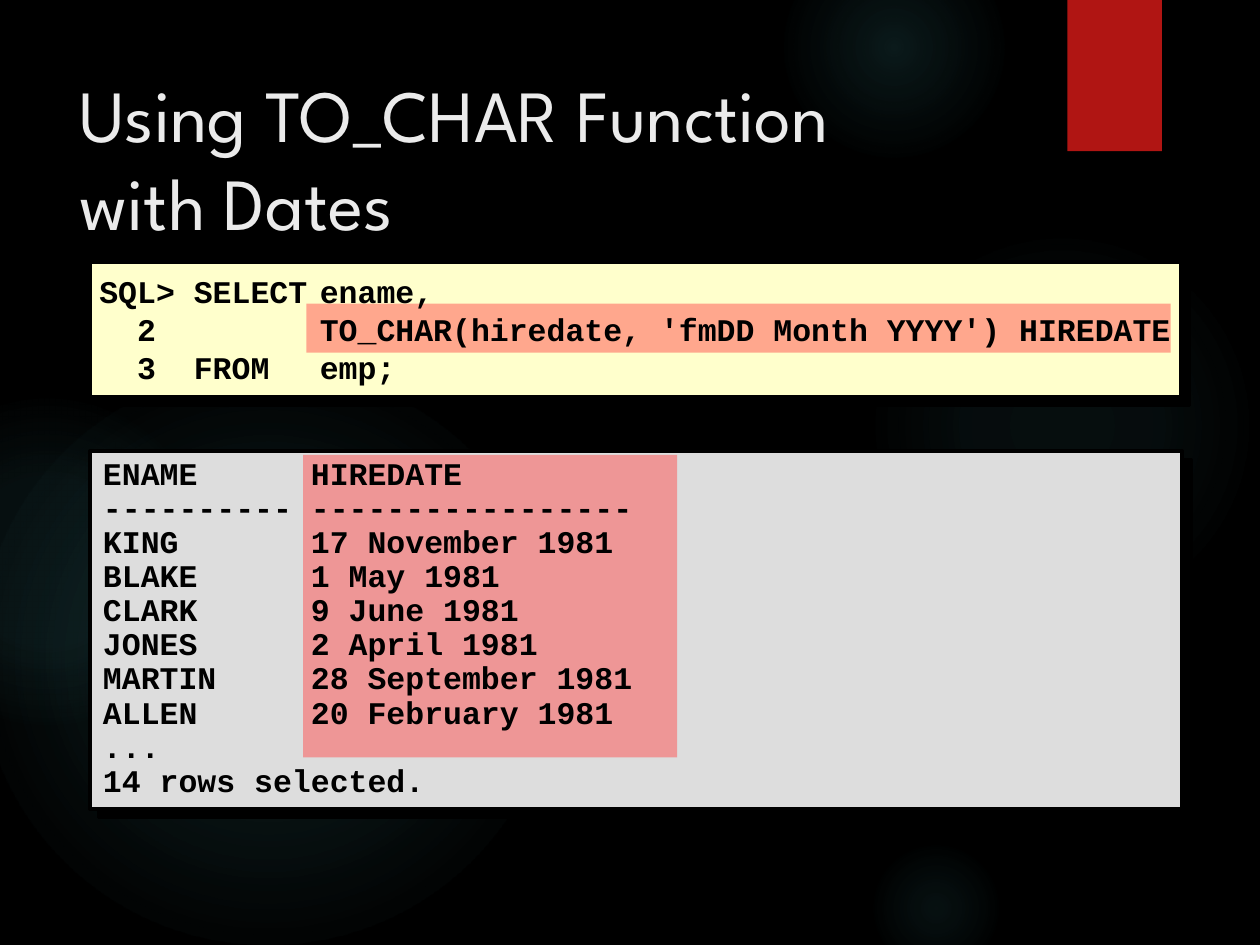
from dataclasses import dataclass

from lxml.etree import SubElement
from pptx import Presentation
from pptx.dml.color import RGBColor
from pptx.enum.shapes import MSO_SHAPE as Shape
from pptx.enum.text import MSO_ANCHOR as Anchor
from pptx.oxml.ns import qn
from pptx.util import Pt

# Content
TITLE = "Using TO_CHAR Function\vwith Dates"
QUERY = [
    "SQL>\tSELECT\tename,",
    "  2\t\tTO_CHAR(hiredate, 'fmDD Month YYYY') HIREDATE",
    "  3\tFROM\temp;",
]
RESULT = [
    ("ENAME", "HIREDATE"),
    ("-" * 10, "-" * 17),
    ("KING", "17 November 1981"),
    ("BLAKE", "1 May 1981"),
    ("CLARK", "9 June 1981"),
    ("JONES", "2 April 1981"),
    ("MARTIN", "28 September 1981"),
    ("ALLEN", "20 February 1981"),
    ("...",),
    ("14 rows selected.",),
]

# Glows: left, top, diameter, then (position %, opacity %) stops
GLOWS = [
    (496, 132, 222, [(0, 7), (36, 6), (69, 0)]),
    (448, -36, 126, [(0, 14), (36, 7), (73, 0)]),
    (496, 480, 78, [(0, 9), (36, 5), (66, 0)]),
    (-12, 210, 330, [(0, 11), (36, 10), (75, 0)]),
    (-66, 228, 186, [(0, 8), (36, 8), (72, 0)]),
]

# Boxes: left, top, width, height
RIBBON = (610, 0, 54, 86.4)
TITLE_BOX = (38.2, 36, 555.8, 110.2)
QUERY_PANEL = (51.4, 149.8, 623.5, 77)
RESULT_PANEL = (51.4, 257.8, 624.2, 204.5)
QUERY_MARK = (175, 173.5, 494, 28)
RESULT_MARK = (173.2, 260, 213.8, 172.8)
QUERY_TEXT = (49.7, 134.6, 632, 106.6)  # wide enough for the longest code line
RESULT_TEXT = (51.8, 258.5, 571.7, 202.3)

CHAR = 10.8  # width of one code character
QUERY_TABS = (5 * CHAR, 126)
RESULT_TABS = (11 * CHAR,)


@dataclass(frozen=True)
class Theme:
    background: str = "000000"
    glow: str = "50B9C1"
    ribbon: str = "B01513"
    query: str = "FFFFCC"
    result: str = "DDDDDD"
    mark: str = "FF5050"
    ink: str = "000000"
    title: str = "EBEBEB"
    title_font: str = "League Spartan"
    code_font: str = "Courier New"
    title_size: float = 42
    code_size: float = 18


THEME = Theme()


def element(parent, tag, **attributes):
    return SubElement(parent, qn(tag), {k: str(v) for k, v in attributes.items()})


def add_color(parent, color, opacity):
    node = element(parent, "a:srgbClr", val=color)
    element(node, "a:alpha", val=opacity * 1000)


def add_block(slide, box, color, kind=Shape.RECTANGLE, outlined=False):
    block = slide.shapes.add_shape(kind, *map(Pt, box))
    block.shadow.inherit = False
    block.fill.solid()
    block.fill.fore_color.rgb = RGBColor.from_string(color)
    if outlined:
        block.line.color.rgb = RGBColor.from_string(THEME.ink)
        block.line.width = Pt(2)
    else:
        block.line.fill.background()
    return block


def add_shadow(block, opacity, blur, distance, angle):
    effects = block._element.spPr.find(qn("a:effectLst"))
    shadow = element(effects, "a:outerShdw", blurRad=Pt(blur), dist=Pt(distance),
                     dir=angle * 60000, algn="ctr", rotWithShape=0)
    add_color(shadow, THEME.ink, opacity)


def add_glow(slide, left, top, diameter, stops):
    glow = add_block(slide, (left, top, diameter, diameter), THEME.glow, Shape.OVAL)
    properties = glow._element.spPr
    solid = properties.find(qn("a:solidFill"))
    gradient = element(properties, "a:gradFill", rotWithShape=1)
    properties.replace(solid, gradient)
    stop_list = element(gradient, "a:gsLst")
    for position, opacity in stops:
        add_color(element(stop_list, "a:gs", pos=position * 1000), THEME.glow, opacity)
    circle = element(gradient, "a:path", path="circle")
    element(circle, "a:fillToRect", l=50000, t=50000, r=50000, b=50000)


def add_mark(slide, box):
    mark = add_block(slide, box, THEME.mark)
    element(mark._element.spPr.find(qn("a:solidFill"))[0], "a:alpha", val=50000)


def add_text(slide, box, lines, font, size, color, bold=False, tabs=(),
             spacing=None, anchor=Anchor.TOP):
    frame = slide.shapes.add_textbox(*map(Pt, box)).text_frame
    frame.word_wrap = True
    frame.vertical_anchor = anchor
    frame.text = "\n".join(lines)
    for paragraph in frame.paragraphs:
        if spacing:
            paragraph.line_spacing = spacing
        if tabs:
            tab_list = element(paragraph._p.get_or_add_pPr(), "a:tabLst")
            for stop in tabs:
                element(tab_list, "a:tab", pos=Pt(stop), algn="l")
        for run in paragraph.runs:
            run.font.name = font
            run.font.size = Pt(size)
            run.font.bold = bold
            run.font.color.rgb = RGBColor.from_string(color)


def main():
    deck = Presentation()
    deck.slide_width, deck.slide_height = Pt(720), Pt(540)
    slide = deck.slides.add_slide(deck.slide_layouts[6])
    slide.background.fill.solid()
    slide.background.fill.fore_color.rgb = RGBColor.from_string(THEME.background)

    # Backdrop
    for glow in GLOWS:
        add_glow(slide, *glow)
    add_shadow(add_block(slide, RIBBON, THEME.ribbon), 45, 3, 2, 90)

    # Panels and highlights
    for box, color in ((QUERY_PANEL, THEME.query), (RESULT_PANEL, THEME.result)):
        add_shadow(add_block(slide, box, color, outlined=True), 100, 0, 7.1, 45)
    for box in (QUERY_MARK, RESULT_MARK):
        add_mark(slide, box)

    # Title, query and its result
    add_text(slide, TITLE_BOX, [TITLE], THEME.title_font, THEME.title_size, THEME.title)
    code = (THEME.code_font, THEME.code_size, THEME.ink, True)
    add_text(slide, QUERY_TEXT, QUERY, *code, tabs=QUERY_TABS, anchor=Anchor.MIDDLE)
    add_text(slide, RESULT_TEXT, ["\t".join(row) for row in RESULT], *code,
             tabs=RESULT_TABS, spacing=0.9)

    deck.save("out.pptx")


if __name__ == "__main__":
    main()
